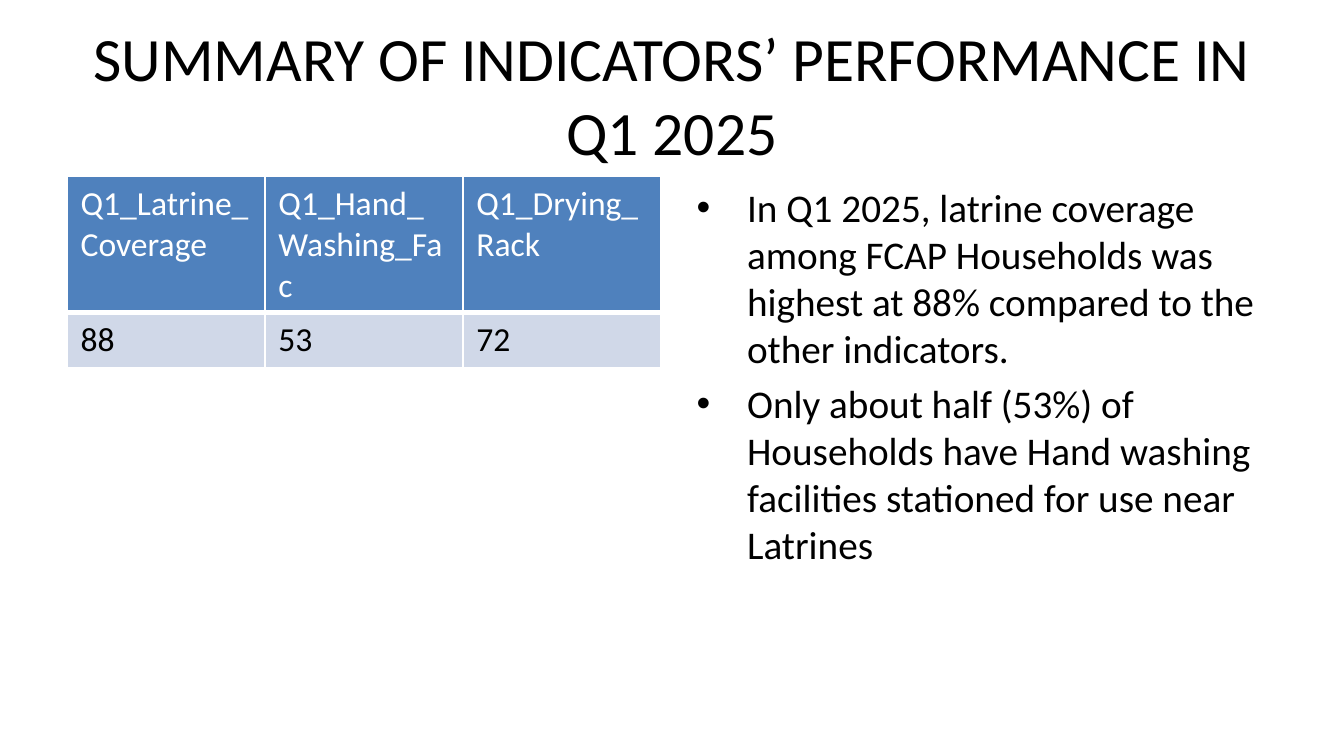
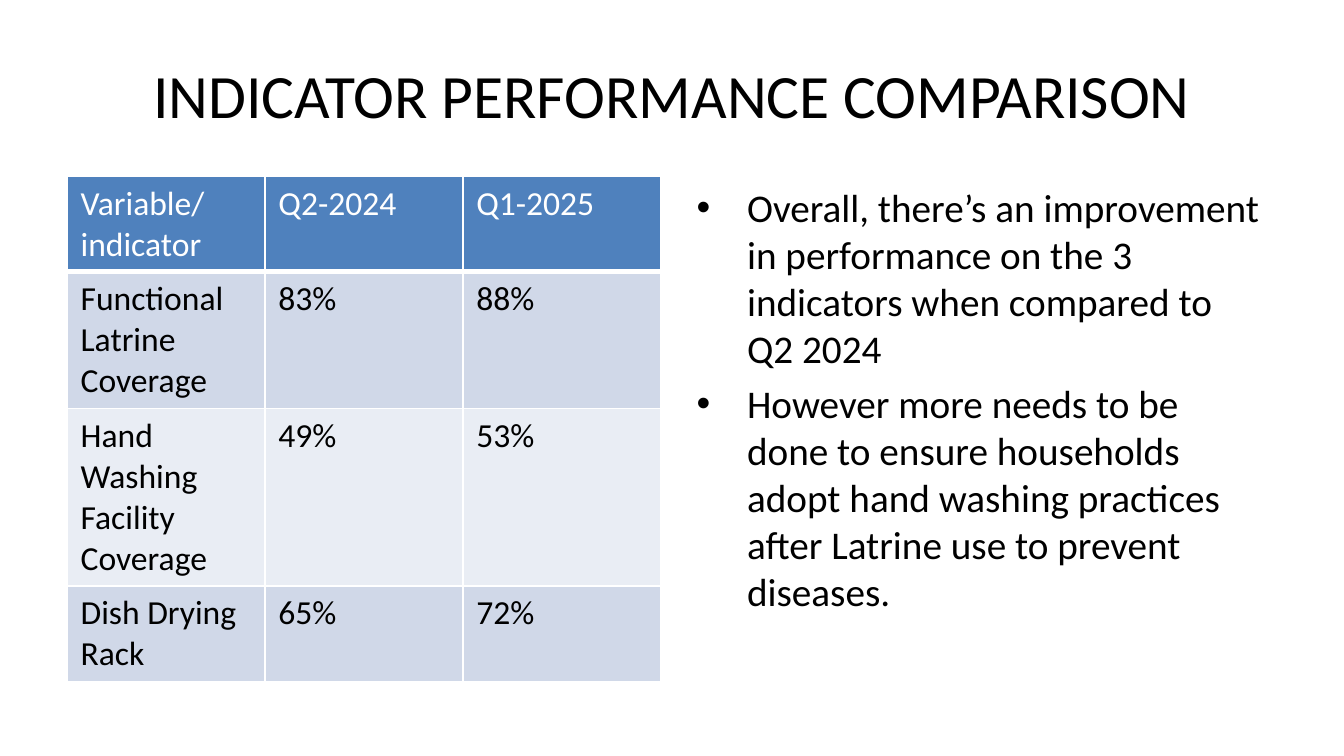
import pptx
import pptx.dml.color
import pptx.enum.text
import pptx.oxml
import pptx.oxml.ns
import pptx.util

Pt = pptx.util.Pt
RGBColor = pptx.dml.color.RGBColor

BLACK = RGBColor(0x00, 0x00, 0x00)
WHITE = RGBColor(0xFF, 0xFF, 0xFF)
HEADER_BLUE = RGBColor(0x4F, 0x81, 0xBD)
BANDS = (RGBColor(0xD0, 0xD8, 0xE8), RGBColor(0xE9, 0xED, 0xF4))

SLIDE_SIZE = (720, 405)
TITLE_BOX = (36, 16.5, 648, 67.5)
TABLE_BOX = (36, 94.5, 318, 267)
BULLET_BOX = (366, 94.5, 318, 267)

TITLE_FONT = {"name": "Calibri", "size": Pt(33), "bold": False}
BULLET_FONT = {"name": "Calibri", "size": Pt(21), "bold": False}
CELL_FONT = {"name": "Calibri", "size": Pt(18), "bold": False}

SLIDES = (
    {
        "title": "SUMMARY OF INDICATORS’ PERFORMANCE IN Q1 2025",
        "rows": (
            ("Q1_Latrine_Coverage", "Q1_Hand_Washing_Fac", "Q1_Drying_Rack"),
            ("88", "53", "72"),
        ),
        "heights": (73, 29),
        "bullets": (
            "In Q1 2025, latrine coverage among FCAP Households was highest "
            "at 88% compared to the other indicators.",
            "Only about half (53%) of Households have Hand washing facilities "
            "stationed for use near Latrines",
        ),
    },
    {
        "title": "INDICATOR PERFORMANCE COMPARISON",
        "rows": (
            ("Variable/indicator", "Q2-2024", "Q1-2025"),
            ("Functional Latrine Coverage", "83%", "88%"),
            ("Hand Washing Facility Coverage", "49%", "53%"),
            ("Dish Drying Rack", "65%", "72%"),
        ),
        "heights": (51, 73, 95, 51),
        "bullets": (
            "Overall, there’s an improvement in performance on the 3 "
            "indicators when compared to Q2 2024",
            "However more needs to be done to ensure households adopt hand "
            "washing practices after Latrine use to prevent diseases.",
        ),
    },
)


def format_paragraph(paragraph, font_format, color):
    """Apply a font format and colour to every run of a paragraph."""
    for run in paragraph.runs:
        for name, value in font_format.items():
            setattr(run.font, name, value)
        run.font.color.rgb = color


def place(shape, box):
    """Move a shape to a box given in points."""
    for name, value in zip(("left", "top", "width", "height"), box):
        setattr(shape, name, Pt(value))


def set_borders(cell, bottom_width):
    """Draw white one-point cell borders with a chosen bottom width."""
    properties = cell._tc.get_or_add_tcPr()
    widths = {"lnL": 1, "lnR": 1, "lnT": 1, "lnB": bottom_width}
    for index, (side, width) in enumerate(widths.items()):
        properties.insert(index, pptx.oxml.parse_xml(
            f'<a:{side} {pptx.oxml.ns.nsdecls("a")} w="{Pt(width)}">'
            f'<a:solidFill><a:srgbClr val="{WHITE}"/></a:solidFill></a:{side}>'
        ))


def fill_placeholder(shape, box, lines, text_format, font_format):
    """Fill a template placeholder with one paragraph per line."""
    place(shape, box)
    frame = shape.text_frame
    frame.text = "\n".join(lines)
    for name, value in text_format.items():
        setattr(frame, name, value)
    for paragraph in frame.paragraphs:
        format_paragraph(paragraph, font_format, BLACK)


def add_title(slide, box, title):
    """Set the centred slide title."""
    text_format = {
        "auto_size": pptx.enum.text.MSO_AUTO_SIZE.NONE,
        "vertical_anchor": pptx.enum.text.MSO_ANCHOR.MIDDLE,
    }
    fill_placeholder(slide.shapes.title, box, [title], text_format, TITLE_FONT)


def add_bullets(slide, box, bullets):
    """Set the bulleted findings in the body placeholder."""
    text_format = {
        "auto_size": pptx.enum.text.MSO_AUTO_SIZE.NONE,
        "vertical_anchor": pptx.enum.text.MSO_ANCHOR.TOP,
    }
    fill_placeholder(slide.placeholders[1], box, bullets, text_format, BULLET_FONT)


def add_indicator_table(slide, box, rows, heights):
    """Add the banded table of indicators with equal columns."""
    left, top, width, _ = box
    column_count = len(rows[0])
    table = slide.shapes.add_table(
        len(rows), column_count, Pt(left), Pt(top), Pt(width), Pt(sum(heights))
    ).table
    for column in table.columns:
        column.width = Pt(width / column_count)
    for row_index, (values, height) in enumerate(zip(rows, heights)):
        table.rows[row_index].height = Pt(height)
        is_header = row_index == 0
        fill_color = HEADER_BLUE if is_header else BANDS[(row_index - 1) % 2]
        for cell, value in zip(table.rows[row_index].cells, values):
            cell.text = value
            cell.fill.solid()
            cell.fill.fore_color.rgb = fill_color
            set_borders(cell, 3 if is_header else 1)
            format_paragraph(
                cell.text_frame.paragraphs[0], CELL_FONT, WHITE if is_header else BLACK
            )


def add_indicator_slide(presentation, content):
    """Add a slide with a title, a table and bulleted findings."""
    slide = presentation.slides.add_slide(presentation.slide_layouts[1])
    add_title(slide, TITLE_BOX, content["title"])
    add_indicator_table(slide, TABLE_BOX, content["rows"], content["heights"])
    add_bullets(slide, BULLET_BOX, content["bullets"])


def main():
    """Build and save the presentation."""
    presentation = pptx.Presentation()
    presentation.slide_width, presentation.slide_height = map(Pt, SLIDE_SIZE)
    for content in SLIDES:
        add_indicator_slide(presentation, content)
    presentation.save("out.pptx")


if __name__ == "__main__":
    main()
